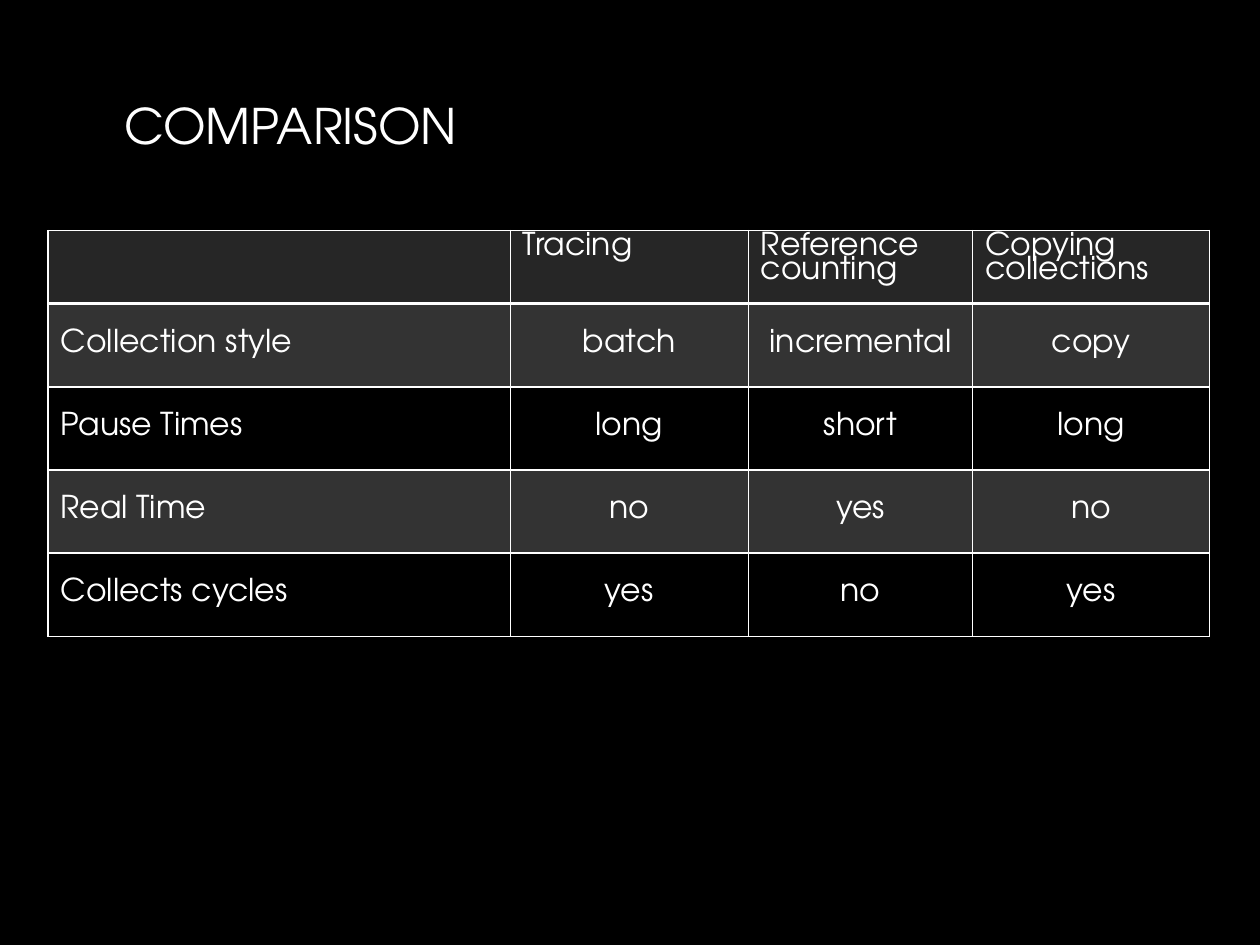
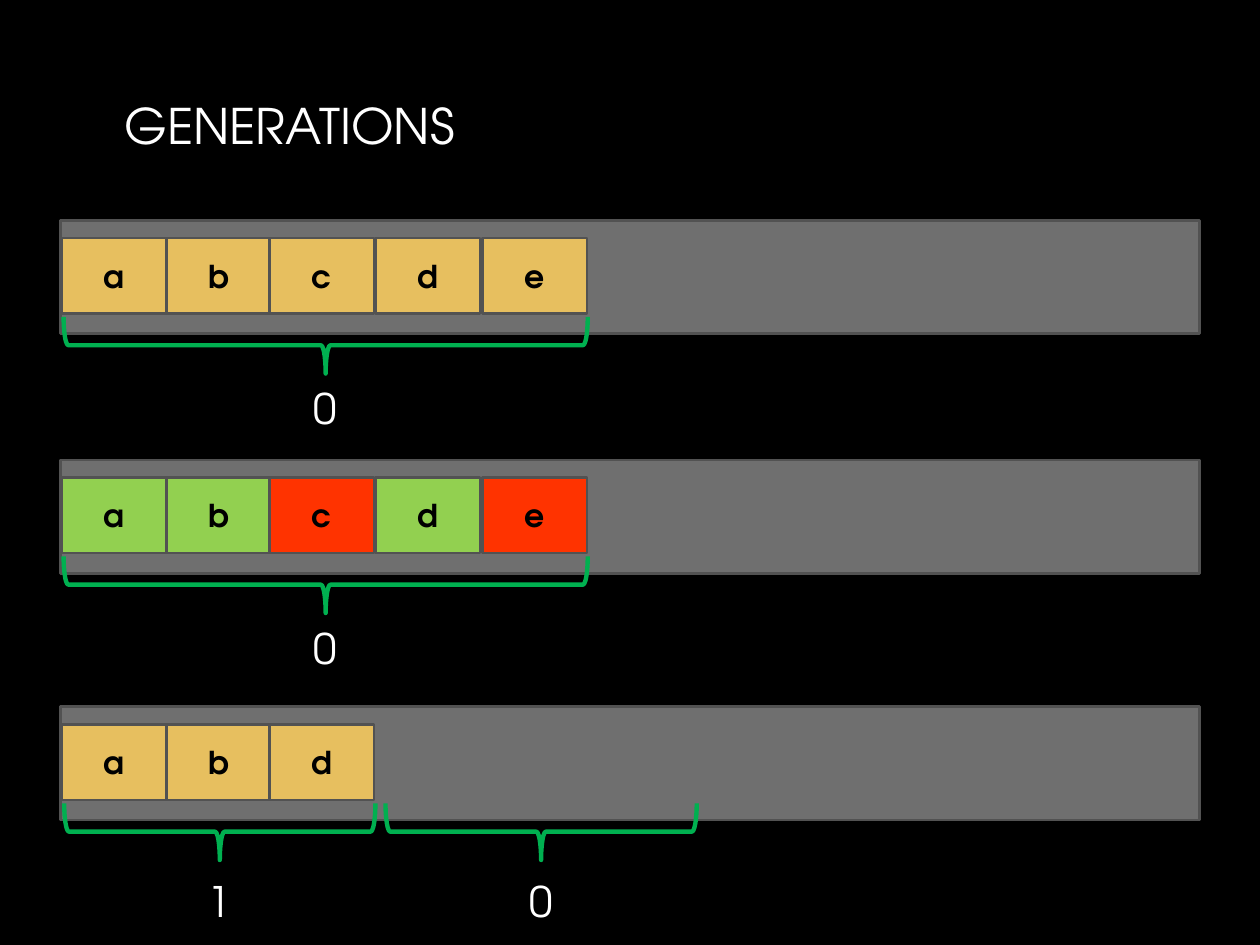
"""Builds two slides about garbage collection: a comparison table and generations."""
from typing import NamedTuple

from lxml.etree import SubElement
from pptx import Presentation
from pptx.dml.color import RGBColor
from pptx.enum.shapes import MSO_SHAPE
from pptx.enum.text import MSO_ANCHOR, MSO_AUTO_SIZE, PP_ALIGN
from pptx.oxml import parse_xml
from pptx.oxml.ns import nsdecls, qn
from pptx.util import Inches, Pt

FONT = "TeX Gyre Adventor"
BLACK = RGBColor(0x00, 0x00, 0x00)
WHITE = RGBColor(0xFF, 0xFF, 0xFF)
HEAD = RGBColor(0x26, 0x26, 0x26)
GREY = RGBColor(0x6F, 0x6F, 0x6F)
EDGE = RGBColor(0x52, 0x52, 0x52)
GOLD = RGBColor(0xE7, 0xBF, 0x5F)
LIVE = RGBColor(0x92, 0xD0, 0x50)
DEAD = RGBColor(0xFF, 0x33, 0x00)
BRACE = RGBColor(0x00, 0xB0, 0x50)

LEFTS = (0.49, 1.32, 2.14, 2.98, 3.83)
COLS = (3.67, 1.89, 1.78, 1.88)
ROWS = (0.4, 0.66, 0.66, 0.66, 0.66)
GRID = (
    ("", "Tracing", "Reference counting", "Copying collections"),
    ("Collection style", "batch", "incremental", "copy"),
    ("Pause Times", "long", "short", "long"),
    ("Real Time", "no", "yes", "no"),
    ("Collects cycles", "yes", "no", "yes"),
)


class Span(NamedTuple):
    """A brace with its generation number."""
    mid: float
    width: float
    label: str


class Heap(NamedTuple):
    """A memory bar with its objects and generations."""
    top: float
    names: str
    fills: tuple
    spans: tuple
    drop: float = 1.24


FULL = (Span(2.58, 4.16, "0"),)
HEAPS = (
    Heap(1.75, "abcde", (GOLD,) * 5, FULL),
    Heap(3.65, "abcde", (LIVE, LIVE, DEAD, LIVE, DEAD), FULL),
    Heap(5.61, "abd", (GOLD,) * 3,
         (Span(1.74, 2.47, "1"), Span(4.29, 2.47, "0")), 1.29),
)


def style(par, size: float, color: RGBColor, bold: bool = False) -> None:
    """Format every run of a paragraph."""
    for run in par.runs:
        font = run.font
        font.name, font.size, font.bold = FONT, Pt(size), bold
        font.color.rgb = color


def start(deck, title: str):
    """Add a black slide with its title."""
    slide = deck.slides.add_slide(deck.slide_layouts[6])
    slide.background.fill.solid()
    slide.background.fill.fore_color.rgb = BLACK
    box = slide.shapes.add_textbox(Inches(0.89), Inches(0.65), Inches(8.21), Inches(0.68))
    frame = box.text_frame
    frame.word_wrap = True
    frame.vertical_anchor = MSO_ANCHOR.MIDDLE
    frame.text = title
    style(frame.paragraphs[0], 28, WHITE)
    return slide


def border(cell, row: int) -> None:
    """Line a cell in white, heavier below the header."""
    heavy = {(0, "lnB"), (1, "lnT")}
    props = cell._tc.get_or_add_tcPr()
    for spot, side in enumerate(("lnL", "lnR", "lnT", "lnB")):
        width = Pt(2 if (row, side) in heavy else 1)
        props.insert(spot, parse_xml(
            f'<a:{side} {nsdecls("a")} w="{width}"><a:solidFill>'
            f'<a:srgbClr val="{WHITE}"/></a:solidFill></a:{side}>'))


def shade(cell, row: int) -> None:
    """Fill the header dark and every other row with clear white."""
    if row and row % 2 == 0:
        cell.fill.background()
        return
    cell.fill.solid()
    cell.fill.fore_color.rgb = WHITE if row else HEAD
    if row:
        tint = next(cell._tc.tcPr.iter(qn("a:srgbClr")))
        SubElement(tint, qn("a:alpha")).set("val", "20000")


def compare(slide) -> None:
    """Draw the table of collectors."""
    table = slide.shapes.add_table(
        len(ROWS), len(COLS), Inches(0.38), Inches(1.83),
        Inches(sum(COLS)), Inches(sum(ROWS))).table
    for col, width in zip(table.columns, COLS):
        col.width = Inches(width)
    for row, (line, height) in enumerate(zip(GRID, ROWS)):
        table.rows[row].height = Inches(height)
        for col, text in enumerate(line):
            cell = table.cell(row, col)
            shade(cell, row)
            border(cell, row)
            cell.text_frame.text = text
            par = cell.text_frame.paragraphs[0]
            par.line_spacing = 0.8
            style(par, 18, WHITE)
            if row:
                cell.vertical_anchor = MSO_ANCHOR.MIDDLE
                par.alignment = PP_ALIGN.CENTER if col else PP_ALIGN.LEFT


def block(shapes, left: float, top: float, width: float, height: float,
          fill: RGBColor, text: str = "") -> None:
    """Draw an edged box, with a bold letter if given."""
    box = shapes.add_shape(MSO_SHAPE.RECTANGLE, Inches(left), Inches(top),
                           Inches(width), Inches(height))
    box.shadow.inherit = False
    box.fill.solid()
    box.fill.fore_color.rgb = fill
    box.line.color.rgb = EDGE
    box.line.width = Pt(1.5)
    if text:
        frame = box.text_frame
        frame.text = text
        frame.vertical_anchor = MSO_ANCHOR.MIDDLE
        frame.paragraphs[0].alignment = PP_ALIGN.CENTER
        style(frame.paragraphs[0], 18, BLACK, True)


def embrace(shapes, span: Span, heap: Heap) -> None:
    """Draw a brace under a heap and number it."""
    brace = shapes.add_shape(
        MSO_SHAPE.LEFT_BRACE, Inches(span.mid - 0.22),
        Inches(heap.top + 0.99 - span.width / 2), Inches(0.45), Inches(span.width))
    brace.rotation = 270
    brace.shadow.inherit = False
    brace.fill.background()
    brace.line.color.rgb = BRACE
    brace.line.width = Pt(2.5)
    box = shapes.add_textbox(Inches(span.mid - 0.19), Inches(heap.top + heap.drop),
                             Inches(0.39), Inches(0.5))
    frame = box.text_frame
    frame.word_wrap = False
    frame.auto_size = MSO_AUTO_SIZE.SHAPE_TO_FIT_TEXT
    frame.text = span.label
    style(frame.paragraphs[0], 24, WHITE)


def draw(slide, heap: Heap) -> None:
    """Draw a heap as one group."""
    shapes = slide.shapes.add_group_shape().shapes
    block(shapes, 0.48, heap.top, 9.04, 0.9, GREY)
    for left, name, fill in zip(LEFTS, heap.names, heap.fills):
        block(shapes, left, heap.top + 0.14, 0.83, 0.6, fill, name)
    for span in heap.spans:
        embrace(shapes, span, heap)


def main() -> None:
    """Build and save the deck."""
    deck = Presentation()
    deck.slide_width, deck.slide_height = Inches(10), Inches(7.5)
    compare(start(deck, "COMPARISON"))
    slide = start(deck, "GENERATIONS")
    for heap in HEAPS:
        draw(slide, heap)
    deck.save("out.pptx")


if __name__ == "__main__":
    main()
